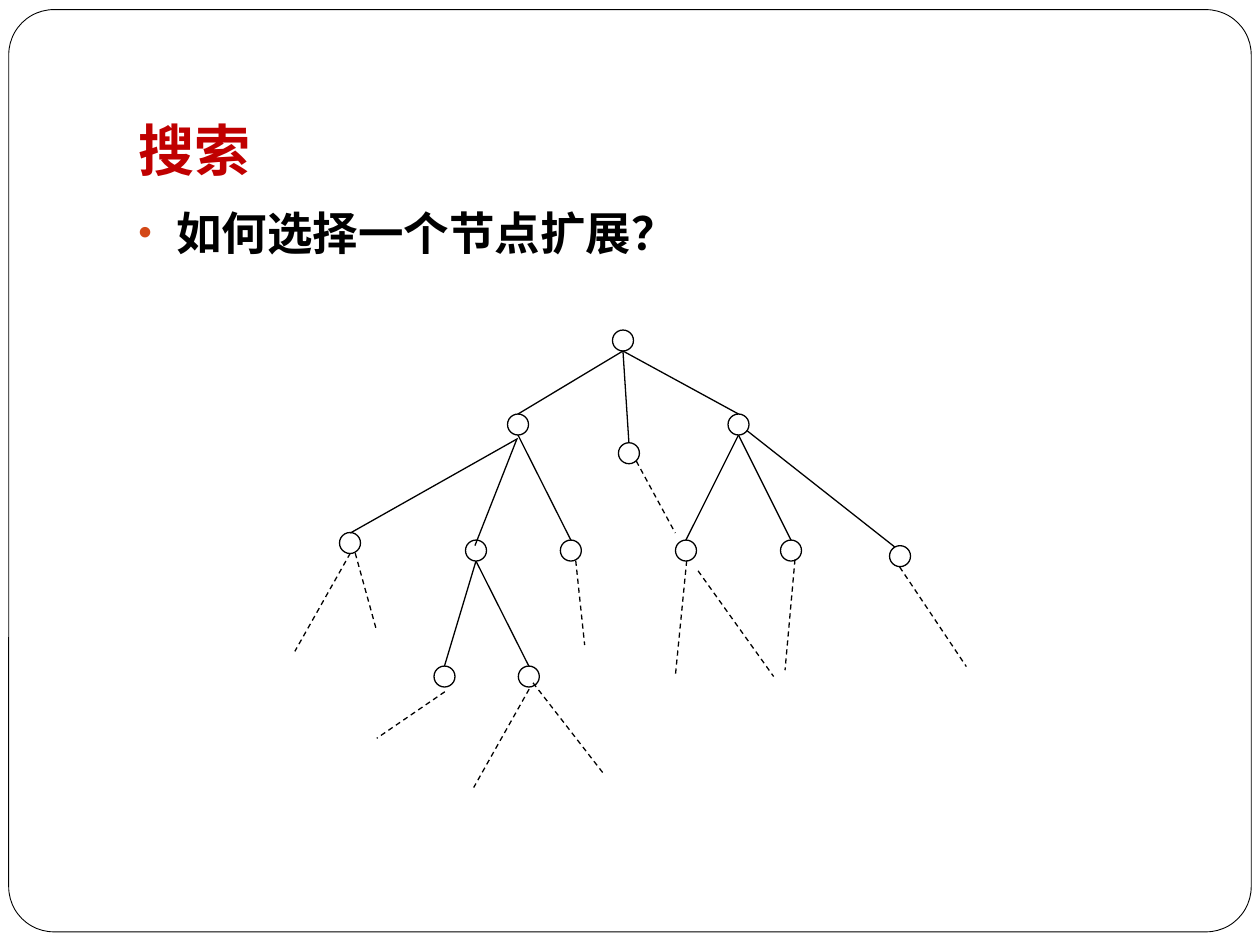
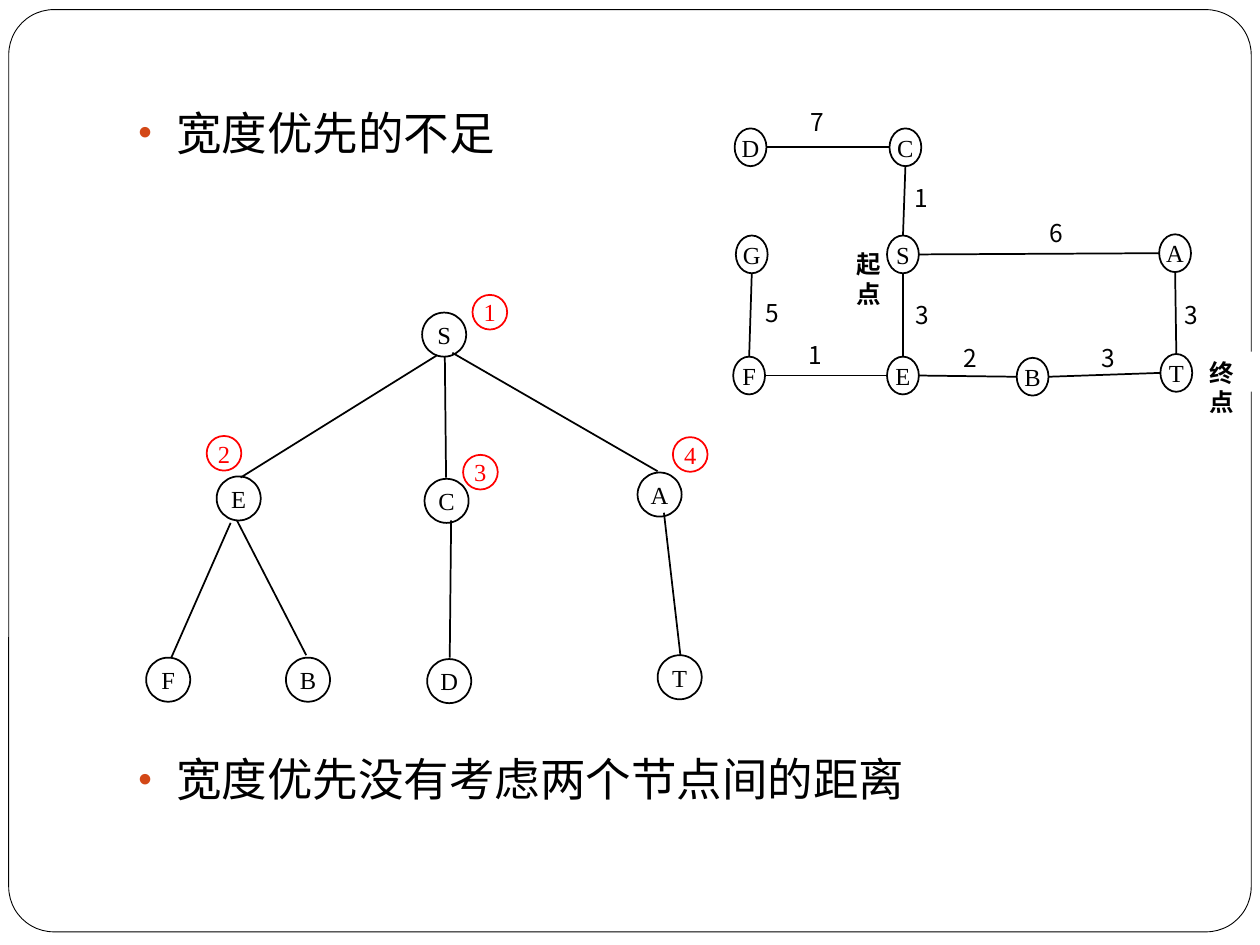
"""Build two slides about tree search and the limits of breadth-first search."""
from lxml import etree
from pptx import Presentation
from pptx import util as u
from pptx.dml.color import RGBColor
from pptx.enum import dml, shapes, text
from pptx.oxml.ns import qn

COLOURS = {"ink": "000000", "paper": "FFFFFF", "title": "C00000", "bullet": "D34817", "order": "FF0000"}
LATIN, CHINESE = "Times New Roman", "Noto Sans CJK SC"
OVAL, RECT = shapes.MSO_SHAPE.OVAL, shapes.MSO_SHAPE.RECTANGLE
CENTRE, LEFT, JUSTIFY = text.PP_ALIGN.CENTER, text.PP_ALIGN.LEFT, text.PP_ALIGN.JUSTIFY
TOP, MIDDLE, BOTTOM = text.MSO_ANCHOR.TOP, text.MSO_ANCHOR.MIDDLE, text.MSO_ANCHOR.BOTTOM


def add_box(page, kind, place, words="", line=None, width=1, fill=None, colour="ink", font=LATIN,
            size=14, bold=False, align=CENTRE, anchor=MIDDLE, insets=(0, 0, 0, 0)):
    box = page.shapes.add_shape(kind, *[u.Pt(length) for length in place])
    box.shadow.inherit = False
    if fill:
        box.fill.solid()
        box.fill.fore_color.rgb = RGBColor.from_string(COLOURS[fill])
    else:
        box.fill.background()
    if line:
        box.line.color.rgb = RGBColor.from_string(COLOURS[line])
        box.line.width = u.Pt(width)
    else:
        box.line.fill.background()
    if words:
        frame = box.text_frame
        frame.word_wrap = True
        frame.vertical_anchor = anchor
        frame.margin_left, frame.margin_top, frame.margin_right, frame.margin_bottom = map(u.Pt, insets)
        paragraph = frame.paragraphs[0]
        paragraph.text = words
        paragraph.alignment = align
        paragraph.font.name = font
        paragraph.font.size = u.Pt(size)
        paragraph.font.bold = bold
        paragraph.font.color.rgb = RGBColor.from_string(COLOURS[colour])
        defaults = paragraph._p.pPr.find(qn("a:defRPr"))
        etree.SubElement(defaults, qn("a:ea")).set("typeface", CHINESE)
    return box


def add_line(page, ends, width=1, dashed=False):
    line = page.shapes.add_connector(shapes.MSO_CONNECTOR.STRAIGHT, *[u.Pt(length) for length in ends])
    line.line.color.rgb = RGBColor.from_string(COLOURS["ink"])
    line.line.width = u.Pt(width)
    if dashed:
        line.line.dash_style = dml.MSO_LINE.DASH
    etree.SubElement(line._element.spPr, qn("a:effectLst"))


deck = Presentation()
deck.slide_width, deck.slide_height = u.Pt(720), u.Pt(540)
search, breadth = [deck.slides.add_slide(deck.slide_layouts[6]) for _ in range(2)]

for page in (search, breadth):
    border = add_box(page, shapes.MSO_SHAPE.ROUNDED_RECTANGLE, (5, 5.5, 710, 527),
                     line="ink", width=0.5, fill="paper")
    border.adjustments[0] = 0.049

add_box(search, RECT, (72, 21.6, 612, 90), "搜索", colour="title", size=32, bold=True,
        align=LEFT, anchor=BOTTOM, insets=(7.2, 3.6, 7.2, 7.2))

for page, top, words, bold in (
    (search, 113.8, "如何选择一个节点扩展？", True),
    (breadth, 56.2, "宽度优先的不足", False),
    (breadth, 425.9, "宽度优先没有考虑两个节点间的距离", False),
):
    box = add_box(page, RECT, (72, top, 612, 50), words, size=26, bold=bold, align=LEFT,
                  anchor=TOP, insets=(7.2, 3.6, 7.2, 3.6))
    paragraph = box.text_frame.paragraphs[0]
    paragraph.space_before = u.Pt(5.8)
    properties = paragraph._p.pPr
    properties.set("marL", str(u.Pt(21.6)))
    properties.set("indent", str(-u.Pt(21.6)))
    defaults = properties.find(qn("a:defRPr"))
    for tag, name, value in (("a:buClr", None, None), ("a:buSzPct", "val", "85000"),
                             ("a:buFont", "typeface", "Arial"), ("a:buChar", "char", "•")):
        mark = etree.Element(qn(tag))
        if name:
            mark.set(name, value)
        else:
            etree.SubElement(mark, qn("a:srgbClr")).set("val", COLOURS["bullet"])
        defaults.addprevious(mark)

search_nodes = {
    "root": (356, 194.6), "left": (296, 242.6), "middle": (359.4, 259), "right": (422, 242.6),
    "left 1": (200, 310.3), "left 2": (272, 314.6), "left 3": (326.2, 314.6),
    "right 1": (392, 314.6), "right 2": (452, 314.6), "right 3": (514.3, 317.8),
    "leaf 1": (254, 386.6), "leaf 2": (302.2, 386.6),
}
search_edges = [
    ("root", "left"), ("root", "middle"), ("root", "right"), ("left", "left 3"),
    ("right", "right 1"), ("right", "right 2"), ("left 2", "leaf 1"), ("left 2", "leaf 2"),
]
slanted_edges = [
    (295.9, 250.6, 200.2, 304.6), (295.2, 251.3, 271.4, 311.8), (427, 246.2, 511.2, 312.5),
]
open_branches = [
    (363.6, 263.5, 385.9, 304.6), (514.1, 324, 552.2, 380.9), (454.3, 319.7, 448.6, 383),
    (392.4, 320.4, 385.9, 386.6), (398.9, 326.2, 442.1, 386.6), (200.2, 316.1, 168.5, 372.2),
    (302.4, 393.8, 270.7, 450), (329, 320.4, 334.1, 368.6), (203, 316.1, 215.3, 360.7),
    (254.2, 395.3, 215.3, 421.9), (304.6, 390.2, 344.9, 442.1),
]
radius = 6
for x, y in search_nodes.values():
    add_box(search, OVAL, (x - radius, y - radius, 2 * radius, 2 * radius), line="ink", width=0.75)
for parent, child in search_edges:
    (x1, y1), (x2, y2) = search_nodes[parent], search_nodes[child]
    add_line(search, (x1, y1 + radius, x2, y2 - radius), 0.75)
for ends in slanted_edges:
    add_line(search, ends, 0.75)
for ends in open_branches:
    add_line(search, ends, 0.75, dashed=True)

map_width, map_height = 18.2, 21.6
map_nodes = {
    "D": (419.8, 73.4), "C": (508.3, 73.4), "G": (420.5, 134.6), "S": (506.9, 134.6),
    "A": (662.4, 133.9), "F": (419, 203.8), "E": (506.9, 203.8), "B": (581, 204.5), "T": (663.1, 202.3),
}
across = [("D", "C", "7", 455.8, 57.6), ("S", "A", "6", 592.6, 121), ("F", "E", "1", 455, 190.8),
          ("E", "B", "2", 543.6, 192.2), ("B", "T", "3", 622.1, 192.2)]
down = [("C", "S", "1", 515.5, 100.8), ("G", "F", "5", 430.6, 167), ("S", "E", "3", 516.2, 167.8),
        ("A", "T", "3", 669.6, 167.8)]
for _, _, weight, x, y in across + down:
    add_box(breadth, RECT, (x, y, 19.4, 23), weight, fill="paper", font=CHINESE,
            align=JUSTIFY, anchor=TOP, insets=(7.2, 3.6, 7.2, 3.6))
for words, x, y in (("起点", 482.4, 139), ("终点", 684, 200.9)):
    add_box(breadth, RECT, (x, y, 35.3, 23), words, fill="paper", font=CHINESE, bold=True,
            align=JUSTIFY, anchor=TOP, insets=(7.2, 3.6, 7.2, 3.6))
for start, end, *_ in across:
    (x1, y1), (x2, y2) = map_nodes[start], map_nodes[end]
    add_line(breadth, (x1 + map_width, y1 + map_height / 2, x2, y2 + map_height / 2))
for start, end, *_ in down:
    (x1, y1), (x2, y2) = map_nodes[start], map_nodes[end]
    add_line(breadth, (x1 + map_width / 2, y1 + map_height, x2 + map_width / 2, y2))
for name, (x, y) in map_nodes.items():
    add_box(breadth, OVAL, (x, y, map_width, map_height), name, line="ink")

tree_nodes = [
    ("S", 241.2, 178.6), ("E", 123.8, 272.2), ("C", 242.6, 273.6), ("A", 364.3, 270),
    ("F", 83.5, 375.8), ("B", 163.4, 375.8), ("D", 244.1, 376.6), ("T", 375.8, 374.4),
]
visit_order = [("1", 270, 168.5), ("2", 118.1, 249.1), ("3", 264.6, 259.9), ("4", 384.5, 249.8)]
tree_edges = [
    (249.8, 203, 137.5, 272.9), (254.2, 203.8, 254.9, 272.9), (258.5, 201.6, 375.8, 269.3),
    (131.8, 298.8, 97.9, 375.8), (135.4, 297.4, 175, 374.4), (257.8, 297.4, 257, 375.8),
    (379.4, 293, 388.8, 374.4),
]
for ends in tree_edges:
    add_line(breadth, ends)
for diameter, colour, circles in ((25.2, "ink", tree_nodes), (19.8, "order", visit_order)):
    for name, x, y in circles:
        add_box(breadth, OVAL, (x, y, diameter, diameter), name, line=colour, colour=colour)

deck.save("out.pptx")
